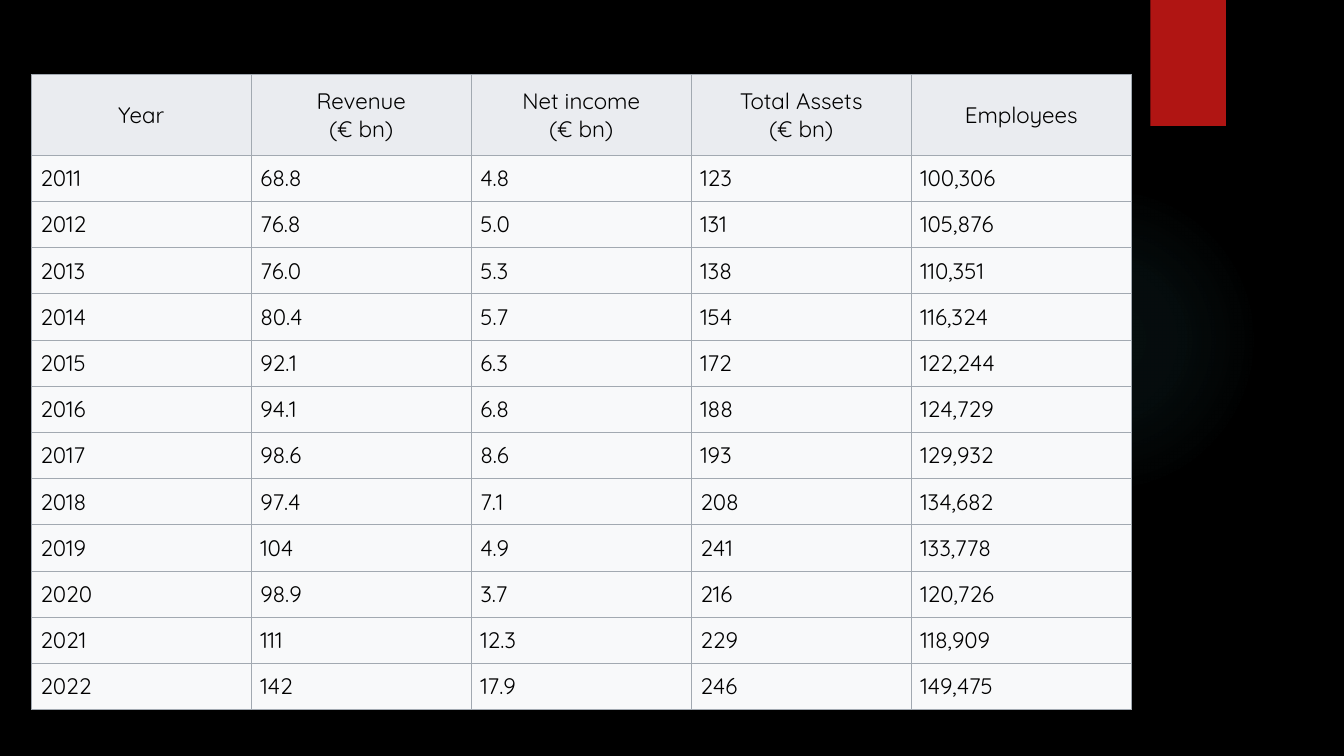
from pptx import Presentation
from pptx.dml.color import RGBColor
from pptx.enum.shapes import MSO_SHAPE
from pptx.enum.text import MSO_ANCHOR, PP_ALIGN
from pptx.oxml import parse_xml
from pptx.oxml.ns import nsdecls, qn
from pptx.util import Inches, Pt

BLACK = RGBColor(0x00, 0x00, 0x00)
RED = RGBColor(0xB0, 0x15, 0x13)
TEAL = RGBColor(0x50, 0xB9, 0xC1)
HEADER_GREY = RGBColor(0xEA, 0xEC, 0xF0)
ROW_GREY = RGBColor(0xF8, 0xF9, 0xFA)
BORDER_GREY = RGBColor(0xA2, 0xA9, 0xB1)

GLOW_STOPS = [(0, 7), (36, 6), (69, 0)]  # position and opacity in percent
HEADER_HEIGHT = 0.8
TABLE_WIDTH, TABLE_HEIGHT = 10.91, 6.3

CELL_FORMAT = {
    "vertical_anchor": MSO_ANCHOR.MIDDLE,
    "margin_left": Inches(0.09),
    "margin_right": Inches(0.09),
    "margin_top": Inches(0.04),
    "margin_bottom": Inches(0.04),
}
FONT_FORMAT = {"name": "Quicksand", "size": Pt(16), "bold": False}

HEADERS = ["Year", "Revenue\n(€ bn)", "Net income\n(€ bn)", "Total Assets\n(€ bn)", "Employees"]
RESULTS = [
    ("2011", "68.8", "4.8", "123", "100,306"),
    ("2012", "76.8", "5.0", "131", "105,876"),
    ("2013", "76.0", "5.3", "138", "110,351"),
    ("2014", "80.4", "5.7", "154", "116,324"),
    ("2015", "92.1", "6.3", "172", "122,244"),
    ("2016", "94.1", "6.8", "188", "124,729"),
    ("2017", "98.6", "8.6", "193", "129,932"),
    ("2018", "97.4", "7.1", "208", "134,682"),
    ("2019", "104", "4.9", "241", "133,778"),
    ("2020", "98.9", "3.7", "216", "120,726"),
    ("2021", "111", "12.3", "229", "118,909"),
    ("2022", "142", "17.9", "246", "149,475"),
]


def set_format(target, values):
    for name, value in values.items():
        setattr(target, name, value)


def add_plain_shape(page, kind, left, top, width, height):
    """Add a preset shape without outline or shadow."""
    shape = page.shapes.add_shape(
        kind, Inches(left), Inches(top), Inches(width), Inches(height))
    shape.shadow.inherit = False
    shape.line.fill.background()
    return shape


def add_glow(page):
    """Add a circle whose colour fades out from its centre."""
    glow = add_plain_shape(page, MSO_SHAPE.OVAL, 9.41, 1.83, 3.08, 3.08)
    glow.fill.background()
    stops = "".join(
        f'<a:gs pos="{position * 1000}"><a:srgbClr val="{TEAL}">'
        f'<a:alpha val="{opacity * 1000}"/></a:srgbClr></a:gs>'
        for position, opacity in GLOW_STOPS)
    gradient = parse_xml(
        f'<a:gradFill {nsdecls("a")} rotWithShape="1"><a:gsLst>{stops}</a:gsLst>'
        '<a:path path="circle"><a:fillToRect l="50000" t="50000" r="50000" b="50000"/>'
        '</a:path></a:gradFill>')
    properties = glow.element.spPr
    properties.replace(properties.find(qn("a:noFill")), gradient)


def add_ribbon(page):
    ribbon = add_plain_shape(page, MSO_SHAPE.RECTANGLE, 11.41, 0, 0.75, 1.25)
    ribbon.fill.solid()
    ribbon.fill.fore_color.rgb = RED


def add_borders(cell):
    properties = cell._tc.get_or_add_tcPr()
    for side in ("lnL", "lnR", "lnT", "lnB"):
        properties.append(parse_xml(
            f'<a:{side} {nsdecls("a")} w="{Pt(0.75)}"><a:solidFill>'
            f'<a:srgbClr val="{BORDER_GREY}"/></a:solidFill></a:{side}>'))


def fill_cell(cell, text, colour, alignment):
    set_format(cell, CELL_FORMAT)
    add_borders(cell)
    cell.fill.solid()
    cell.fill.fore_color.rgb = colour
    para = cell.text_frame.paragraphs[0]
    para.text = text
    para.alignment = alignment
    for span in para.runs:
        set_format(span.font, FONT_FORMAT)
        span.font.color.rgb = BLACK


def add_results_table(page):
    rows = [HEADERS, *RESULTS]
    table = page.shapes.add_table(
        len(rows), len(HEADERS), Inches(0.31), Inches(0.74),
        Inches(TABLE_WIDTH), Inches(TABLE_HEIGHT)).table
    set_format(table, {"first_row": False, "horz_banding": False})
    row_height = (TABLE_HEIGHT - HEADER_HEIGHT) / len(RESULTS)
    for row_index, values in enumerate(rows):
        is_header = row_index == 0
        table.rows[row_index].height = Inches(HEADER_HEIGHT if is_header else row_height)
        colour = HEADER_GREY if is_header else ROW_GREY
        alignment = PP_ALIGN.CENTER if is_header else PP_ALIGN.LEFT
        for column_index, text in enumerate(values):
            fill_cell(table.cell(row_index, column_index), text, colour, alignment)


def main():
    deck = Presentation()
    set_format(deck, {"slide_width": Inches(13.33), "slide_height": Inches(7.5)})
    page = deck.slides.add_slide(deck.slide_layouts[6])
    page.background.fill.solid()
    page.background.fill.fore_color.rgb = BLACK
    add_glow(page)
    add_ribbon(page)
    add_results_table(page)
    deck.save("out.pptx")


if __name__ == "__main__":
    main()
